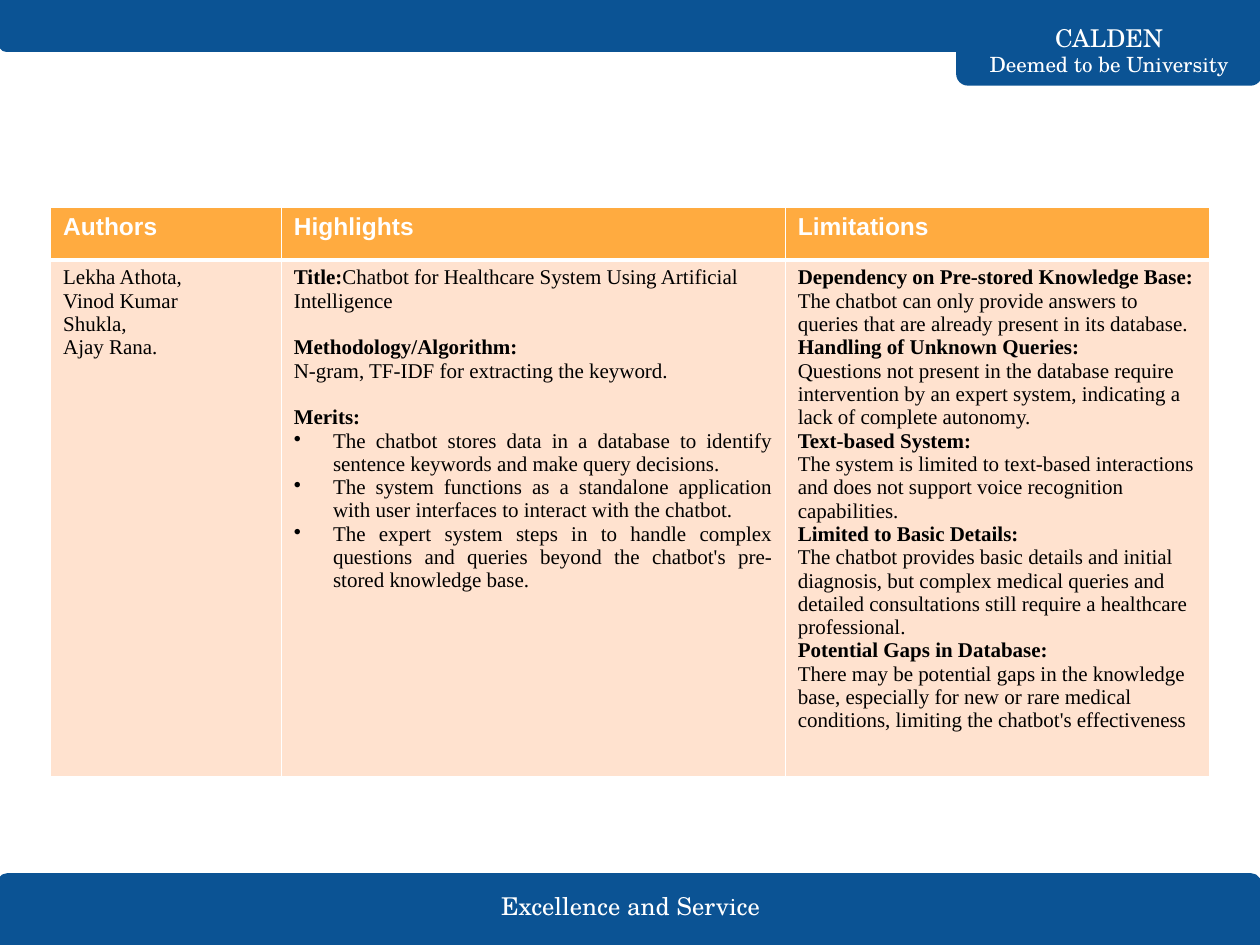
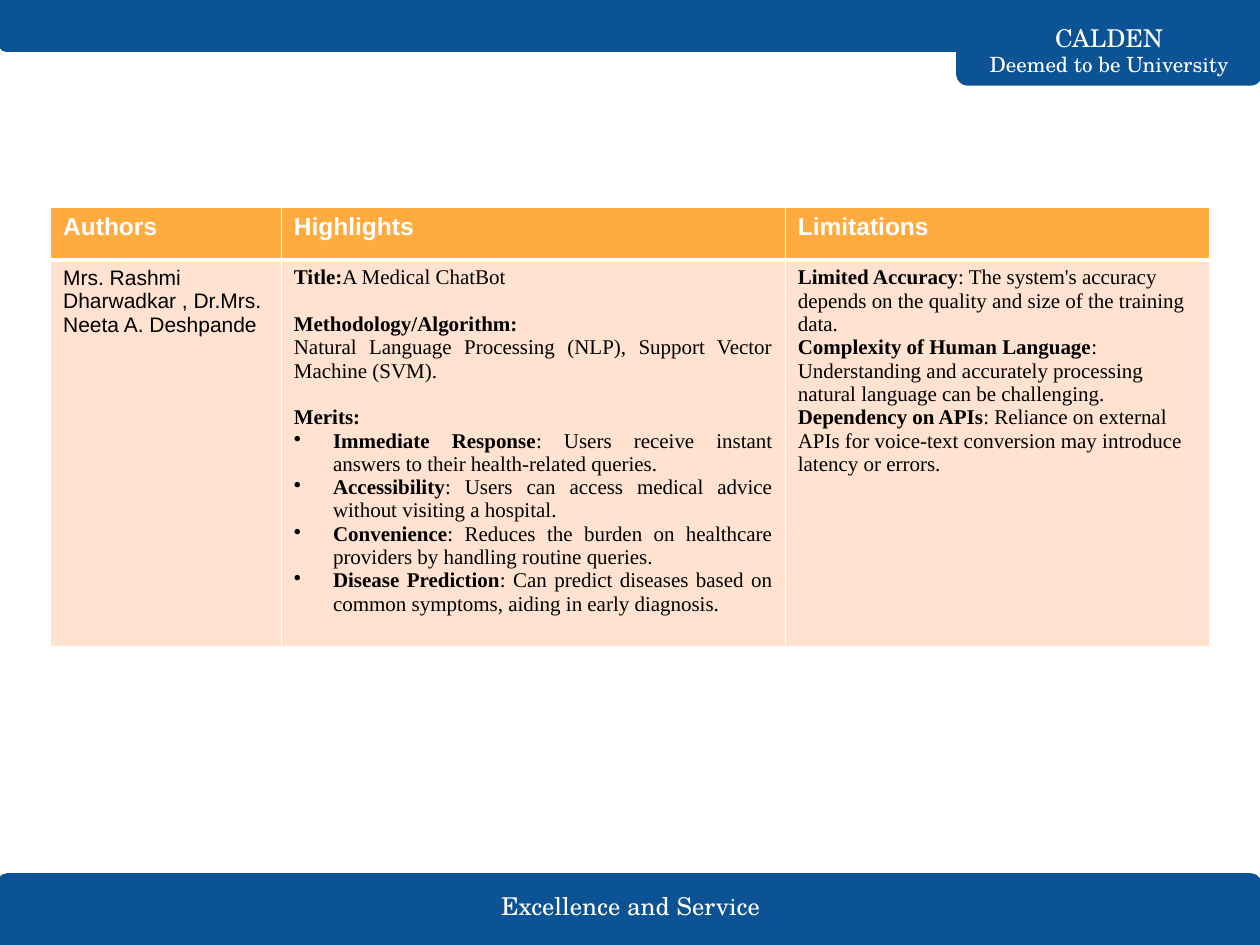
from dataclasses import dataclass

import pptx
import pptx.dml.color
import pptx.enum.shapes
import pptx.enum.text
import pptx.oxml
import pptx.oxml.ns
import pptx.util
from pptx.util import Cm, Pt

COLORS = {
    "band": "0B5394",
    "header": "FFAB40",
    "body": "FFE2CF",
    "light": "FFFFFF",
    "text": "000000",
}
SERIF, SANS, BRAND = "Times New Roman", "Arial", "TeX Gyre Schola"
ALIGN = pptx.enum.text.PP_ALIGN

SLIDE_WIDTH, SLIDE_HEIGHT = Cm(25.4), Cm(19.05)
TABLE_LEFT, TABLE_TOP = Cm(1.02), Cm(4.17)
HEADINGS = ("Authors", "Highlights", "Limitations")
COLUMN_WIDTHS = (Cm(4.65), Cm(10.16), Cm(8.56))
ROW_HEIGHT = Cm(1.07)
SECTION_GAP = Pt(13.3)
BULLET_INDENT = Cm(0.79)


@dataclass(frozen=True)
class Box:
    left: float
    top: float
    width: float
    height: float

    def lengths(self) -> tuple:
        return Cm(self.left), Cm(self.top), Cm(self.width), Cm(self.height)


@dataclass(frozen=True)
class Band:
    box: Box
    rotation: int


@dataclass(frozen=True)
class Caption:
    box: Box
    lines: tuple[tuple[str, int], ...]


@dataclass(frozen=True)
class Line:
    """One paragraph of a cell: a bold lead, then plain text."""
    bold: str = ""
    plain: str = ""
    justified: bool = False
    bullet: bool = False
    starts_section: bool = False


@dataclass(frozen=True)
class Paper:
    authors: tuple[Line, ...]
    author_font: str
    highlights: tuple[Line, ...]
    limitations: tuple[Line, ...]
    table_height: float


BANDS = (
    Band(Box(-0.03, 17.63, 25.43, 1.42), 0),
    Band(Box(19.3, 0, 6.12, 1.7), 180),
    Band(Box(0, 0, 25.43, 1.02), 180),
)
CAPTIONS = (
    Caption(Box(9.3, 17.86, 6.83, 0.81), (("Excellence and Service", 14),)),
    Caption(Box(19.3, 0.69, 6.12, 0.63),
            (("CALDEN", 14), ("Deemed to be University", 12))),
)


def highlights(title: str, method: str, merits: tuple[tuple[str, str], ...]) -> tuple[Line, ...]:
    return (
        Line("Title:", title),
        Line("Methodology/Algorithm:", justified=True, starts_section=True),
        Line(plain=method, justified=True),
        Line("Merits:", justified=True, starts_section=True),
        *(Line(lead, text, justified=True, bullet=True) for lead, text in merits),
    )


def headed(*points: tuple[str, str]) -> tuple[Line, ...]:
    """Put each bold heading on its own line above its explanation."""
    return tuple(line for heading, text in points
                 for line in (Line(heading), Line(plain=text)))


PAPERS = (
    Paper(
        authors=tuple(Line(plain=name) for name in (
            "Lekha Athota,", "Vinod Kumar", "Shukla,", "Ajay Rana.")),
        author_font=SERIF,
        highlights=highlights(
            "Chatbot for Healthcare System Using Artificial Intelligence",
            "N-gram, TF-IDF for extracting the keyword.",
            (
                ("", "The chatbot stores data in a database to identify sentence "
                     "keywords and make query decisions."),
                ("", "The system functions as a standalone application with user "
                     "interfaces to interact with the chatbot."),
                ("", "The expert system steps in to handle complex questions and "
                     "queries beyond the chatbot's pre-stored knowledge base."),
            ),
        ),
        limitations=headed(
            ("Dependency on Pre-stored Knowledge Base:",
             "The chatbot can only provide answers to queries that are already "
             "present in its database."),
            ("Handling of Unknown Queries:",
             "Questions not present in the database require intervention by an "
             "expert system, indicating a lack of complete autonomy."),
            ("Text-based System:",
             "The system is limited to text-based interactions and does not "
             "support voice recognition capabilities."),
            ("Limited to Basic Details:",
             "The chatbot provides basic details and initial diagnosis, but complex "
             "medical queries and detailed consultations still require a healthcare "
             "professional."),
            ("Potential Gaps in Database:",
             "There may be potential gaps in the knowledge base, especially for new or "
             "rare medical conditions, limiting the chatbot's effectiveness"),
        ),
        table_height=11.48,
    ),
    Paper(
        authors=(Line(plain="Mrs. Rashmi Dharwadkar , Dr.Mrs. Neeta A. Deshpande"),),
        author_font=SANS,
        highlights=highlights(
            "A Medical ChatBot",
            "Natural Language Processing (NLP), Support Vector Machine (SVM).",
            (
                ("Immediate Response",
                 ": Users receive instant answers to their health-related queries."),
                ("Accessibility",
                 ": Users can access medical advice without visiting a hospital."),
                ("Convenience",
                 ": Reduces the burden on healthcare providers by handling routine queries."),
                ("Disease Prediction",
                 ": Can predict diseases based on common symptoms, aiding in early diagnosis."),
            ),
        ),
        limitations=(
            Line("Limited Accuracy",
                 ": The system's accuracy depends on the quality and size of the "
                 "training data."),
            Line("Complexity of Human Language",
                 ": Understanding and accurately processing natural language can be "
                 "challenging."),
            Line("Dependency on APIs",
                 ": Reliance on external APIs for voice-text conversion may introduce "
                 "latency or errors."),
        ),
        table_height=8.94,
    ),
)


def color(name: str) -> pptx.dml.color.RGBColor:
    return pptx.dml.color.RGBColor.from_string(COLORS[name])


def style_font(paragraph, name: str, size: int, color_name: str) -> None:
    font = paragraph.font
    font.name, font.size = name, Pt(size)
    font.color.rgb = color(color_name)


def draw_band(slide, band: Band) -> None:
    shape = slide.shapes.add_shape(
        pptx.enum.shapes.MSO_SHAPE.ROUND_2_SAME_RECTANGLE, *band.box.lengths())
    shape.adjustments[0], shape.adjustments[1] = 0.125, 0
    shape.rotation = band.rotation
    shape.shadow.inherit = False
    shape.fill.solid()
    shape.fill.fore_color.rgb = color("band")
    shape.line.color.rgb = color("band")
    shape.line.width = Pt(1.5)


def draw_caption(slide, caption: Caption) -> None:
    frame = slide.shapes.add_textbox(*caption.box.lengths()).text_frame
    frame.word_wrap = True
    frame.vertical_anchor = pptx.enum.text.MSO_ANCHOR.MIDDLE
    frame.margin_top = frame.margin_bottom = Cm(0.25)
    for index, (text, size) in enumerate(caption.lines):
        paragraph = frame.add_paragraph() if index else frame.paragraphs[0]
        paragraph.text = text
        paragraph.alignment = ALIGN.CENTER
        style_font(paragraph, BRAND, size, "light")


def add_bullet(paragraph) -> None:
    properties = paragraph._p.get_or_add_pPr()
    properties.set("marL", str(BULLET_INDENT))
    properties.set("indent", str(-BULLET_INDENT))
    namespace = pptx.oxml.ns.nsdecls("a")
    for xml in (
        f'<a:buClr {namespace}><a:srgbClr val="{COLORS["text"]}"/></a:buClr>',
        f'<a:buChar {namespace} char="•"/>',
    ):
        properties.append(pptx.oxml.parse_xml(xml))


def style_cell(cell, fill: str, top: int, bottom: int) -> None:
    """Fill a cell and give it white borders; top and bottom are in points."""
    properties = cell._tc.get_or_add_tcPr()
    for side, width in (("L", 1), ("R", 1), ("T", top), ("B", bottom)):
        properties.append(pptx.oxml.parse_xml(
            f'<a:ln{side} {pptx.oxml.ns.nsdecls("a")} w="{Pt(width)}"><a:solidFill>'
            f'<a:srgbClr val="{COLORS["light"]}"/></a:solidFill></a:ln{side}>'))
    cell.fill.solid()
    cell.fill.fore_color.rgb = color(fill)


def write_lines(cell, lines: tuple[Line, ...], font: str, size: int, color_name: str) -> None:
    frame = cell.text_frame
    for index, line in enumerate(lines):
        paragraph = frame.add_paragraph() if index else frame.paragraphs[0]
        paragraph.alignment = ALIGN.JUSTIFY if line.justified else ALIGN.LEFT
        if line.starts_section:
            paragraph.space_before = SECTION_GAP
        if line.bullet:
            add_bullet(paragraph)
        style_font(paragraph, font, size, color_name)
        for text, bold in ((line.bold, True), (line.plain, False)):
            if text:
                run = paragraph.add_run()
                run.text = text
                run.font.bold = bold


def draw_paper_table(slide, paper: Paper) -> None:
    graphic_frame = slide.shapes.add_table(
        2, len(HEADINGS), TABLE_LEFT, TABLE_TOP, sum(COLUMN_WIDTHS), 2 * ROW_HEIGHT)
    table = graphic_frame.table
    table.horz_banding = False
    contents = (
        (paper.authors, paper.author_font),
        (paper.highlights, SERIF),
        (paper.limitations, SERIF),
    )
    for index, (heading, width, (lines, font)) in enumerate(
            zip(HEADINGS, COLUMN_WIDTHS, contents)):
        table.columns[index].width = width
        header, body = table.cell(0, index), table.cell(1, index)
        style_cell(header, "header", top=1, bottom=3)
        style_cell(body, "body", top=3, bottom=1)
        write_lines(header, (Line(heading),), SANS, 14, "light")
        write_lines(body, lines, font, 12, "text")
    graphic_frame.height = Cm(paper.table_height)


def main() -> None:
    presentation = pptx.Presentation()
    presentation.slide_width, presentation.slide_height = SLIDE_WIDTH, SLIDE_HEIGHT
    for paper in PAPERS:
        slide = presentation.slides.add_slide(presentation.slide_layouts[6])
        for band in BANDS:
            draw_band(slide, band)
        for caption in CAPTIONS:
            draw_caption(slide, caption)
        draw_paper_table(slide, paper)
    presentation.save("out.pptx")


if __name__ == "__main__":
    main()
